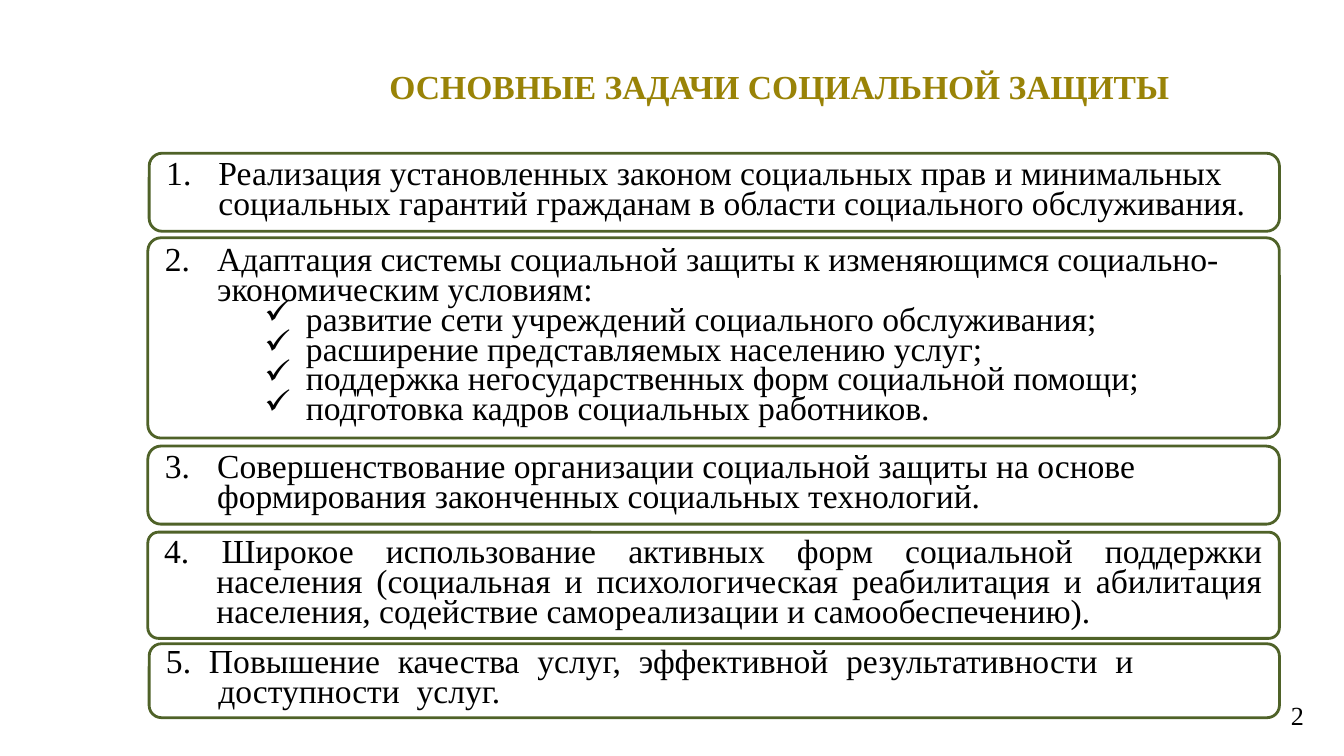
from lxml import etree
from pptx import Presentation
from pptx.dml.color import RGBColor
from pptx.enum.shapes import MSO_SHAPE
from pptx.enum.text import MSO_ANCHOR, PP_ALIGN
from pptx.oxml.ns import qn
from pptx.util import Pt

ROUND = MSO_SHAPE.ROUNDED_RECTANGLE
MIDDLE = MSO_ANCHOR.MIDDLE
LEFT, CENTER, RIGHT, JUSTIFY = (
    PP_ALIGN.LEFT, PP_ALIGN.CENTER, PP_ALIGN.RIGHT, PP_ALIGN.JUSTIFY)
FONT = "Times New Roman"
BLACK, WHITE, GREEN, GOLD = "000000", "FFFFFF", "4F6228", "998307"
EDGE = 685.4
INSET = 7.2

TITLE = "ОСНОВНЫЕ ЗАДАЧИ СОЦИАЛЬНОЙ ЗАЩИТЫ"
PAGE = "2"
TASKS = [
    {"box": (79.9, 82.1, 41.8), "num": 1,
     "text": "Реализация установленных законом социальных прав и минимальных "
             "социальных гарантий гражданам в области социального обслуживания."},
    {"box": (79.2, 127.4, 107.3), "num": 2, "adj": 0.065,
     "text": "Адаптация системы социальной защиты к изменяющимся социально- "
             "экономическим условиям:",
     "points": ["развитие сети учреждений социального обслуживания;",
                "расширение представляемых населению услуг;",
                "поддержка негосударственных форм социальной помощи;",
                "подготовка кадров социальных работников."]},
    {"box": (79.2, 239, 41.8), "num": 3,
     "text": "Совершенствование организации социальной защиты на основе "
             "формирования законченных социальных технологий."},
    {"box": (79.2, 285.1, 56.9), "adj": 0.1, "align": JUSTIFY,
     "text": "4. Широкое использование активных форм социальной поддержки "
             "населения (социальная и психологическая реабилитация и абилитация "
             "населения, содействие самореализации и самообеспечению)."},
    {"box": (79.9, 344.9, 39.6), "align": JUSTIFY, "pad": 68.5,
     "text": "5. Повышение качества услуг, эффективной результативности и "
             "доступности  услуг."},
]


def color(code):
    return RGBColor.from_string(code)


def style(para, size, align, tint=BLACK, bold=False):
    para.alignment = align
    for run in para.runs:
        font = run.font
        font.name, font.size, font.bold = FONT, Pt(size), bold
        font.color.rgb = color(tint)


def indent(para, left, hang, tag, **attrs):
    para.line_spacing = Pt(16)
    props = para._p.get_or_add_pPr()
    props.set("marL", str(Pt(left)))
    props.set("indent", str(-Pt(hang)))
    mark = etree.SubElement(props, qn(tag))
    for key, value in attrs.items():
        mark.set(key, str(value))


def label(slide, box, text, size, align, tint=BLACK, bold=False):
    frame = slide.shapes.add_textbox(*map(Pt, box)).text_frame
    frame.word_wrap = True
    frame.text = text
    style(frame.paragraphs[0], size, align, tint, bold)
    return frame


def card(slide, task):
    left, top, high = task["box"]
    shape = slide.shapes.add_shape(
        ROUND, Pt(left), Pt(top), Pt(EDGE - left), Pt(high))
    shape.shadow.inherit = False
    shape.fill.solid()
    shape.fill.fore_color.rgb = color(WHITE)
    shape.line.color.rgb = color(GREEN)
    shape.line.width = Pt(1.5)
    if "adj" in task:
        shape.adjustments[0] = task["adj"]

    points = task.get("points", [])
    frame = shape.text_frame
    frame.word_wrap = True
    frame.vertical_anchor = MIDDLE
    frame.margin_right = Pt(INSET + task.get("pad", 0))
    frame.text = "\n".join([task["text"], *points])
    head, *rest = frame.paragraphs
    style(head, 18, task.get("align", LEFT))
    if "num" in task:
        indent(head, 28, 28, "a:buAutoNum", type="arabicPeriod", startAt=task["num"])
    else:
        indent(head, 28, 28, "a:buNone")
    for para in rest:
        style(para, 18, LEFT)
        indent(para, 75.6, 22.3, "a:buChar", char="✓")


def main():
    deck = Presentation()
    deck.slide_width, deck.slide_height = Pt(720), Pt(405)
    slide = deck.slides.add_slide(deck.slide_layouts[6])
    title = label(slide, (79.2, 31.7, 640.8, 26), TITLE, 18, CENTER, GOLD, True)
    title.margin_left = Pt(INSET + 36)
    page = label(slide, (543.6, 368.6, 162, 28.8), PAGE, 14, RIGHT)
    page.vertical_anchor = MIDDLE
    for task in TASKS:
        card(slide, task)
    deck.save("out.pptx")


if __name__ == "__main__":
    main()
